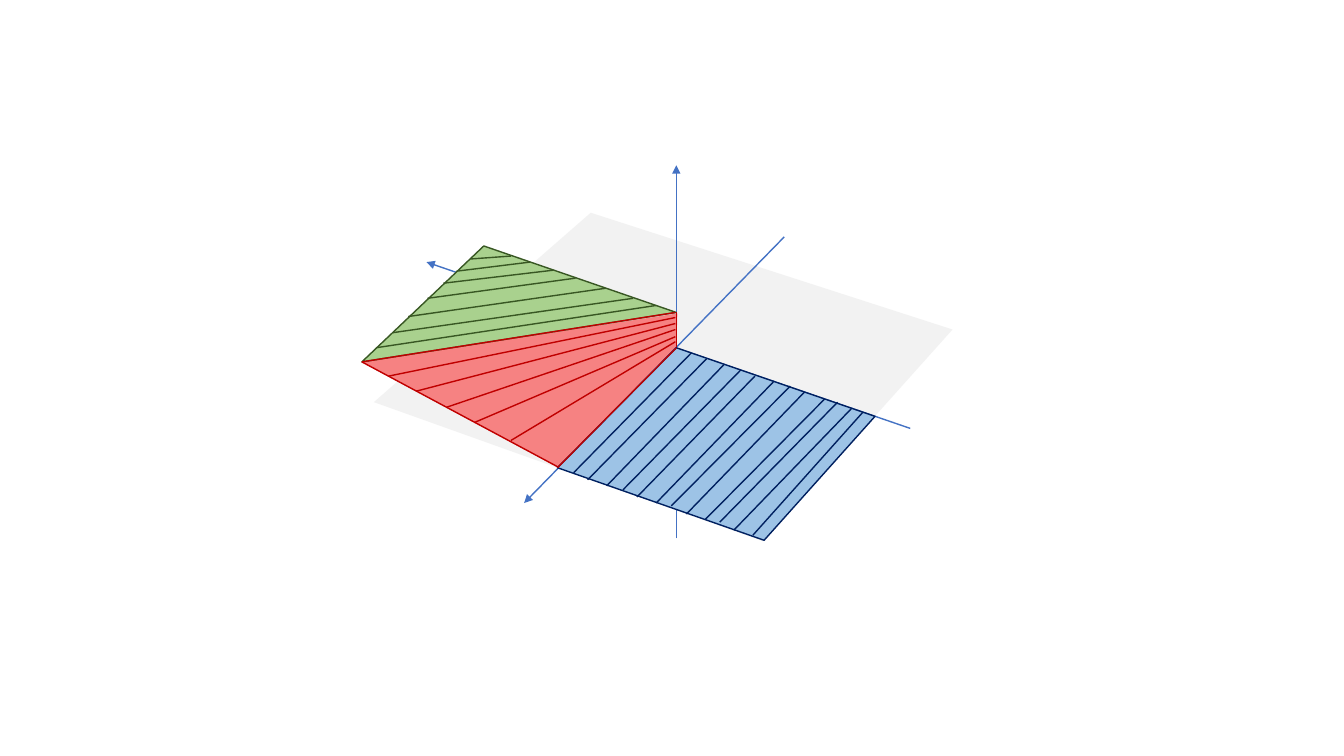
from pptx import Presentation
from pptx.util import Pt
from pptx.dml.color import RGBColor
from pptx.enum.shapes import MSO_CONNECTOR as Conn
from pptx.oxml.ns import qn
from lxml.etree import SubElement as Sub

AXIS, RED, GREEN, NAVY = "4472C4", "C00000", "385723", "002060"

PLANE = [(422, 152), (680.4, 235.4), (545, 386.6), (267.1, 287.3)]
FAN = [(398.9, 334.1), (257.8, 258.5), (483.8, 223.9), (483.1, 249.1)]
UPPER = [(345.6, 175.7), (483.1, 223.2), (258.5, 258.5)]
LOWER = [(483.1, 248.4), (625, 297.4), (545.8, 385.9), (398.2, 334.1)]

AXIS_X = [(650.2, 306, 304.6, 187.2)]
AXES_YZ = [(560.2, 169.2, 374.4, 359.3), (483.1, 384.5, 483.1, 118.1)]
EDGES = [(258.5, 258.5, 399.6, 334.1), (483.1, 223.2, 483.1, 248.4)]
RAYS = [
    (482.4, 223.2, 258.5, 258.5), (482.4, 226.8, 277.9, 268.6),
    (482.4, 231.1, 297.4, 279.4), (482.4, 235.4, 319, 290.9),
    (482.4, 240.5, 339.1, 301.7), (482.4, 244.1, 365, 314.6),
    (483.1, 248.4, 398.2, 334.1),
]
UPPER_HATCH = [
    (468.7, 218.2, 268.6, 248.4), (452.2, 213.1, 280.8, 237.6),
    (432.7, 205.9, 291.6, 226.1), (411.1, 198.7, 305.3, 213.1),
    (395.3, 193, 316.8, 202.3), (378.7, 187.2, 326.2, 193.7),
    (365, 182.9, 336.2, 185),
]
LOWER_HATCH = [
    (493.9, 252, 409.7, 337.7), (504.7, 256.3, 419.8, 342.7),
    (517, 260.6, 433.4, 347), (529.2, 264.2, 445, 349.9),
    (539.3, 268.6, 455, 355), (553, 272.2, 468.7, 359.3),
    (564.5, 275.8, 479.5, 361.4), (574.6, 280.1, 490.3, 367.2),
    (589, 285.1, 504, 370.8), (598.3, 287.3, 514.1, 373),
    (608.4, 291.6, 524.2, 378.7), (616.3, 294.5, 537.8, 382.3),
]

deck = Presentation()
deck.slide_width, deck.slide_height = Pt(960), Pt(540)
shapes = deck.slides.add_slide(deck.slide_layouts[6]).shapes


def paint(fill, color):
    fill.solid()
    fill.fore_color.rgb = RGBColor.from_string(color)


def stroke(line, color):
    paint(line.fill, color)
    line.width = Pt(1)


def face(points, color, edge=None):
    first, *rest = [(Pt(x), Pt(y)) for x, y in points]
    form = shapes.build_freeform(*first)
    form.add_line_segments(rest, close=True)
    shape = form.convert_to_shape()
    shape.shadow.inherit = False
    paint(shape.fill, color)
    if edge:
        stroke(shape.line, edge)
    else:
        shape.line.fill.background()


def draw(lines, color, arrow=False):
    for ends in lines:
        line = shapes.add_connector(Conn.STRAIGHT, *map(Pt, ends))
        stroke(line.line, color)
        props = line._element.spPr
        if arrow:
            Sub(props.find(qn("a:ln")), qn("a:tailEnd"), type="triangle")
        Sub(props, qn("a:effectLst"))


face(PLANE, "F2F2F2")
draw(AXIS_X, AXIS, arrow=True)
face(FAN, "F68282")
draw(AXES_YZ, AXIS, arrow=True)
face(UPPER, "A9D18E", GREEN)
draw(EDGES, RED)
face(LOWER, "9DC3E6", NAVY)
draw(RAYS, RED)
draw(UPPER_HATCH, GREEN)
draw(LOWER_HATCH, NAVY)

deck.save("out.pptx")
